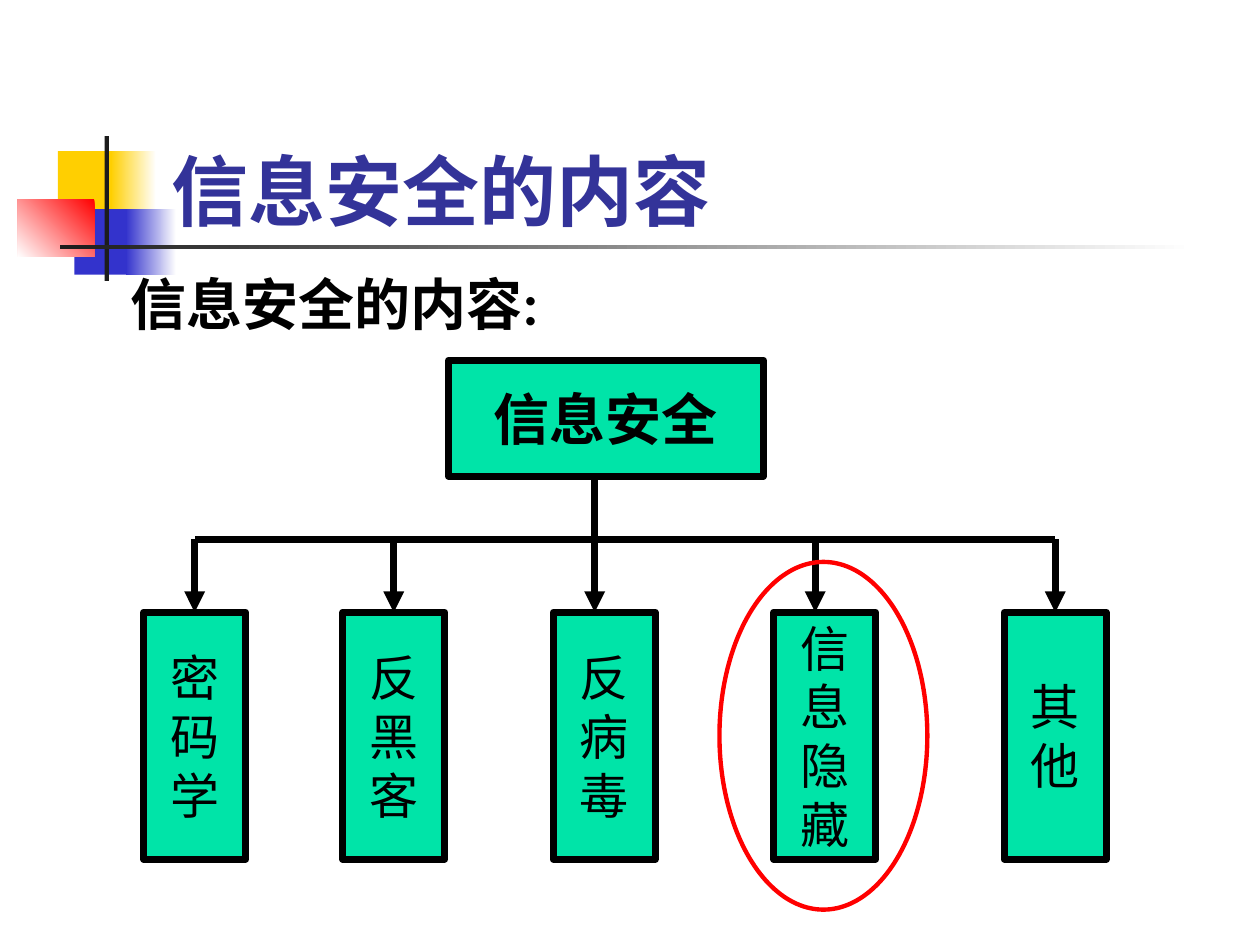
from lxml import etree
from pptx import Presentation
from pptx.dml.color import RGBColor
from pptx.enum.shapes import MSO_CONNECTOR, MSO_SHAPE
from pptx.enum.text import MSO_ANCHOR, PP_ALIGN
from pptx.oxml.ns import qn
from pptx.util import Inches, Pt

RECT, OVAL = MSO_SHAPE.RECTANGLE, MSO_SHAPE.OVAL
STRAIGHT = MSO_CONNECTOR.STRAIGHT
TOP, MIDDLE, BOTTOM = MSO_ANCHOR.TOP, MSO_ANCHOR.MIDDLE, MSO_ANCHOR.BOTTOM
LEFT, CENTER = PP_ALIGN.LEFT, PP_ALIGN.CENTER

WHITE = RGBColor(0xFF, 0xFF, 0xFF)
BLACK = RGBColor(0x00, 0x00, 0x00)
DARK = RGBColor(0x1C, 0x1C, 0x1C)
YELLOW = RGBColor(0xFF, 0xCF, 0x01)
BLUE = RGBColor(0x33, 0x33, 0xCC)
RED = RGBColor(0xFF, 0x00, 0x00)
NAVY = RGBColor(0x33, 0x33, 0x99)
GREEN = RGBColor(0x00, 0xE4, 0xA8)

COLUMNS, ROWS = 100, 75
SANS, SERIF = "Lato", "Times New Roman"


class Deck:
    """Holds the style and the current slide; lengths are grid columns and rows."""

    def __init__(self):
        self.prs = Presentation()
        self.prs.slide_width, self.prs.slide_height = Inches(10), Inches(7.5)
        self.s = self.prs.slides.add_slide(self.prs.slide_layouts[6])
        self.line_width = Pt(4)

    def x(self, columns):
        return round(self.prs.slide_width * columns / COLUMNS)

    def y(self, rows):
        return round(self.prs.slide_height * rows / ROWS)

    def area(self, left, top, width, height):
        return self.x(left), self.y(top), self.x(width), self.y(height)

    def shape(self, kind, area, fill=None, line=None, width=None):
        sp = self.s.shapes.add_shape(kind, *self.area(*area))
        sp.shadow.inherit = False
        if fill is None:
            sp.fill.background()
        else:
            sp.fill.solid()
            sp.fill.fore_color.rgb = fill
        if line is None:
            sp.line.fill.background()
        else:
            sp.line.color.rgb = line
            sp.line.width = width or self.line_width
        return sp

    def fade(self, area, start, end, angle=180):
        sp = self.shape(RECT, area)
        sp.fill.gradient()
        sp.fill.gradient_angle = angle
        for stop, color in zip(sp.fill.gradient_stops, (start, end)):
            stop.color.rgb = color

    def set_text(self, sp, lines, size, font=SANS, color=BLACK, bold=False,
                 align=LEFT, anchor=TOP, wrap=True):
        tf = sp.text_frame
        tf.word_wrap, tf.vertical_anchor = wrap, anchor
        tf.text = "\n".join(lines)
        for p in tf.paragraphs:
            p.alignment = align
            p.font.size, p.font.bold = Pt(size), bold
            p.font.color.rgb = color
            p.font.name = font
            east_asian = etree.SubElement(p._p.pPr.find(qn("a:defRPr")), qn("a:ea"))
            east_asian.set("typeface", SANS)

    def text(self, area, text, size, **style):
        sp = self.s.shapes.add_textbox(*self.area(*area))
        self.set_text(sp, [text], size, bold=True, **style)

    def box(self, area, lines, size, font=SANS, bold=False):
        sp = self.shape(RECT, area, GREEN, BLACK)
        self.set_text(sp, lines, size, font, bold=bold, align=CENTER,
                      anchor=MIDDLE, wrap=False)
        return sp

    def connector(self, x1, y1, x2, y2, arrow=False, target=None):
        c = self.s.shapes.add_connector(
            STRAIGHT, self.x(x1), self.y(y1), self.x(x2), self.y(y2))
        c.line.color.rgb = BLACK
        c.line.width = self.line_width
        if arrow:
            ln = c.line._get_or_add_ln()
            etree.SubElement(ln, qn("a:tailEnd")).set("type", "triangle")
        etree.SubElement(c._element.spPr, qn("a:effectLst"))
        if target is not None:
            c.end_connect(target, 0)


def main():
    deck = Deck()

    deck.shape(RECT, (4.6, 12, 4.8, 5.2), YELLOW)
    deck.fade((8.8, 12, 3.6, 5.2), WHITE, YELLOW)
    deck.shape(RECT, (5.9, 16.6, 4.6, 5.2), BLUE)
    deck.fade((10, 16.6, 4, 5.2), WHITE, BLUE)
    deck.fade((1.4, 15.8, 6.1, 4.6), RED, WHITE, angle=225)
    deck.shape(RECT, (8.3, 10.8, 0.35, 11.5), DARK)
    deck.fade((4.8, 19.45, 90, 0.35), WHITE, DARK)

    deck.text((12.6, 6.7, 85.2, 12.5), "信息安全的内容", 44,
              color=NAVY, anchor=BOTTOM)
    deck.text((9.4, 20.9, 36.7, 6.4), "信息安全的内容:", 32)

    root_bottom, bar, top, width, height = 37.8, 42.8, 48.6, 8.1, 19.6
    deck.box((35.6, 28.6, 25, 9.2), ["信息安全"], 32, bold=True)

    branches = [
        ("密码学", 11.4, SANS, 0),
        ("反黑客", 27.2, SERIF, 0),
        ("反病毒", 43.9, SERIF, -0.75),
        ("信息隐藏", 61.4, SANS, -0.75),
        ("其他", 79.7, SANS, 0),
    ]
    drops = [left + width / 2 + shift for _, left, _, shift in branches]
    trunk = drops[2]
    for (name, left, font, shift), drop in zip(branches, drops):
        sp = deck.box((left, top, width, height), name, 28, font)
        start = root_bottom if drop == trunk else bar
        deck.connector(drop, start, drop, top, arrow=True,
                       target=None if shift else sp)
    for end in (drops[0], drops[-1]):
        deck.connector(trunk, bar, end, bar)

    deck.shape(OVAL, (57.1, 44.6, 16.5, 27.6), line=RED, width=Pt(2.5))
    deck.prs.save("out.pptx")


if __name__ == "__main__":
    main()
